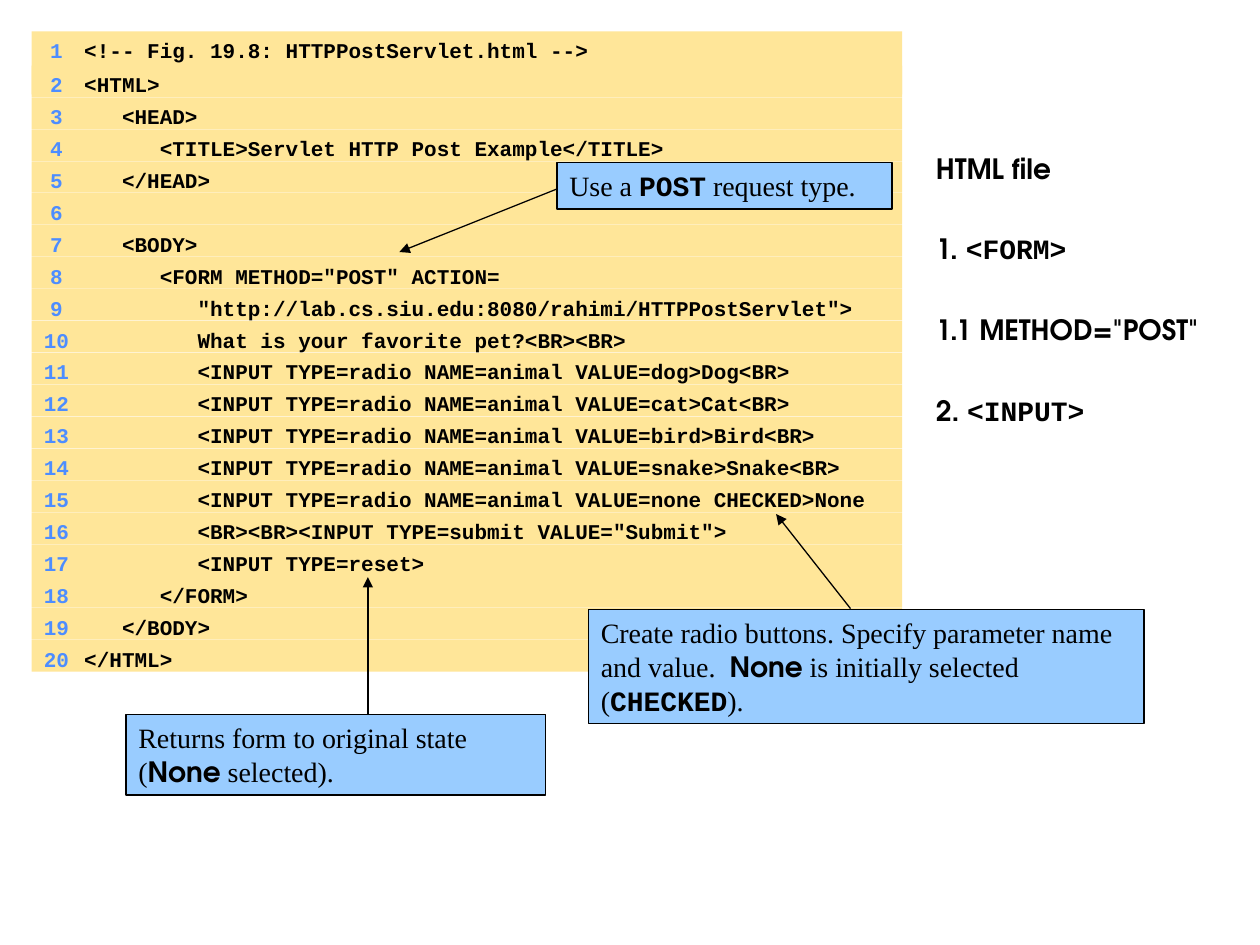
from pptx import Presentation
from pptx.dml.color import RGBColor
from pptx.enum.shapes import MSO_CONNECTOR, MSO_SHAPE
from pptx.enum.text import MSO_ANCHOR, PP_ALIGN
from pptx.oxml.ns import qn
from pptx.util import Inches, Pt
from lxml import etree

RECTANGLE = MSO_SHAPE.RECTANGLE
STRAIGHT = MSO_CONNECTOR.STRAIGHT
TOP = MSO_ANCHOR.TOP
LEFT = PP_ALIGN.LEFT

BLACK = RGBColor(0x00, 0x00, 0x00)
NUMBER_BLUE = RGBColor(0x4D, 0x8D, 0xFF)
CODE_SAND = RGBColor(0xFF, 0xE6, 0x99)
CALLOUT_BLUE = RGBColor(0x99, 0xCC, 0xFF)

# Font formats by role
FORMATS = {
    "code": {"name": "Courier New", "size": Pt(12), "bold": True},
    "body": {"name": "Times New Roman", "size": Pt(16), "bold": False},
    "mono": {"name": "Courier New", "size": Pt(16), "bold": True},
    "head": {"name": "TeX Gyre Adventor", "size": Pt(16), "bold": True},
}

CODE_LINES = """<!-- Fig. 19.8: HTTPPostServlet.html -->
<HTML>
   <HEAD>
      <TITLE>Servlet HTTP Post Example</TITLE>
   </HEAD>

   <BODY>
      <FORM METHOD="POST" ACTION=
         "http://lab.cs.siu.edu:8080/rahimi/HTTPPostServlet">
         What is your favorite pet?<BR><BR>
         <INPUT TYPE=radio NAME=animal VALUE=dog>Dog<BR>
         <INPUT TYPE=radio NAME=animal VALUE=cat>Cat<BR>
         <INPUT TYPE=radio NAME=animal VALUE=bird>Bird<BR>
         <INPUT TYPE=radio NAME=animal VALUE=snake>Snake<BR>
         <INPUT TYPE=radio NAME=animal VALUE=none CHECKED>None
         <BR><BR><INPUT TYPE=submit VALUE="Submit">
         <INPUT TYPE=reset>
      </FORM>
   </BODY>
</HTML>""".split("\n")

OUTLINE = [
    [("HTML file", "head")],
    [("1. ", "head"), ("<FORM>", "mono")],
    [('1.1 METHOD="POST"', "head")],
    [("2. ", "head"), ("<INPUT>", "mono")],
]

# Each callout: box, text, arrow start, arrow end
CALLOUTS = [
    ((4.67, 4.84, 4.41, 0.9),
     [("Create radio buttons. Specify parameter name and value.  ", "body"),
      ("None", "head"), (" is initially selected (", "body"),
      ("CHECKED", "mono"), (").", "body")],
     (6.75, 4.83), (6.16, 4.08)),
    ((4.42, 1.29, 2.66, 0.37),
     [("Use a ", "body"), ("POST", "mono"), (" request type.", "body")],
     (4.42, 1.5), (3.17, 2)),
    ((1, 5.67, 3.33, 0.64),
     [("Returns form to original state (", "body"), ("None", "head"),
      (" selected).", "body")],
     (2.92, 5.67), (2.92, 4.58)),
]


class CodeSlide:
    line_width = Pt(0.75)
    number_tabs = ((0.15, "r"), (0.32, "l"))

    def __init__(self, deck):
        self.slide = deck.slides.add_slide(deck.slide_layouts[6])

    def add_text(self, paragraph, text, role, color=BLACK):
        run = paragraph.add_run()
        run.text = text
        for attribute, value in FORMATS[role].items():
            setattr(run.font, attribute, value)
        run.font.color.rgb = color

    def box(self, shapes, place, fill):
        rect = shapes.add_shape(RECTANGLE, *map(Inches, place))
        rect.shadow.inherit = False
        rect.fill.solid()
        rect.fill.fore_color.rgb = fill
        rect.line.fill.background()
        rect.text_frame.word_wrap = True
        rect.text_frame.vertical_anchor = TOP
        rect.text_frame.paragraphs[0].alignment = LEFT
        return rect

    def code_row(self, shapes, place, number, code):
        row = self.box(shapes, place, CODE_SAND)
        paragraph = row.text_frame.paragraphs[0]
        properties = paragraph._p.get_or_add_pPr()
        tabs = etree.SubElement(properties, qn("a:tabLst"))
        for position, align in self.number_tabs:
            etree.SubElement(tabs, qn("a:tab"), pos=str(Inches(position)), algn=align)
        self.add_text(paragraph, f"\t{number}\t", "code", NUMBER_BLUE)
        if code:
            self.add_text(paragraph, code, "code")

    def listing(self, lines, left=0.25, width=6.91, first_row=0.52, last_row=5.08):
        shapes = self.slide.shapes.add_group_shape().shapes
        self.code_row(shapes, (left, 0.25, width, 0.5), 1, lines[0])
        pitch = (last_row - first_row) / (len(lines) - 2)
        for index, code in enumerate(lines[1:]):
            top = first_row + index * pitch
            self.code_row(shapes, (left, top, width, 0.25), index + 2, code)

    def outline(self, entries, place):
        area = self.slide.shapes.add_textbox(*map(Inches, place))
        frame = area.text_frame
        frame.word_wrap = True
        frame.margin_top = Inches(0.37)
        for index, runs in enumerate(entries):
            paragraph = frame.add_paragraph() if index else frame.paragraphs[0]
            if index:
                paragraph.space_before = Pt(27)
            for text, role in runs:
                self.add_text(paragraph, text, role)

    def arrow(self, shapes, start, end):
        pointer = shapes.add_connector(STRAIGHT, *map(Inches, start + end))
        pointer.line.color.rgb = BLACK
        pointer.line.width = self.line_width
        properties = pointer._element.spPr
        etree.SubElement(properties.find(qn("a:ln")), qn("a:tailEnd"), type="triangle")
        etree.SubElement(properties, qn("a:effectLst"))

    def callout(self, place, runs, start, end):
        shapes = self.slide.shapes.add_group_shape().shapes
        note = self.box(shapes, place, CALLOUT_BLUE)
        note.line.color.rgb = BLACK
        note.line.width = self.line_width
        for text, role in runs:
            self.add_text(note.text_frame.paragraphs[0], text, role)
        self.arrow(shapes, start, end)


def main():
    deck = Presentation()
    deck.slide_width, deck.slide_height = Inches(10), Inches(7.5)
    page = CodeSlide(deck)

    # Outline on the right
    page.outline(OUTLINE, (7.33, 0.83, 2.67, 6.67))

    # Numbered code listing
    page.listing(CODE_LINES)

    # Callouts with arrows
    for callout in CALLOUTS:
        page.callout(*callout)

    deck.save("out.pptx")


if __name__ == "__main__":
    main()
